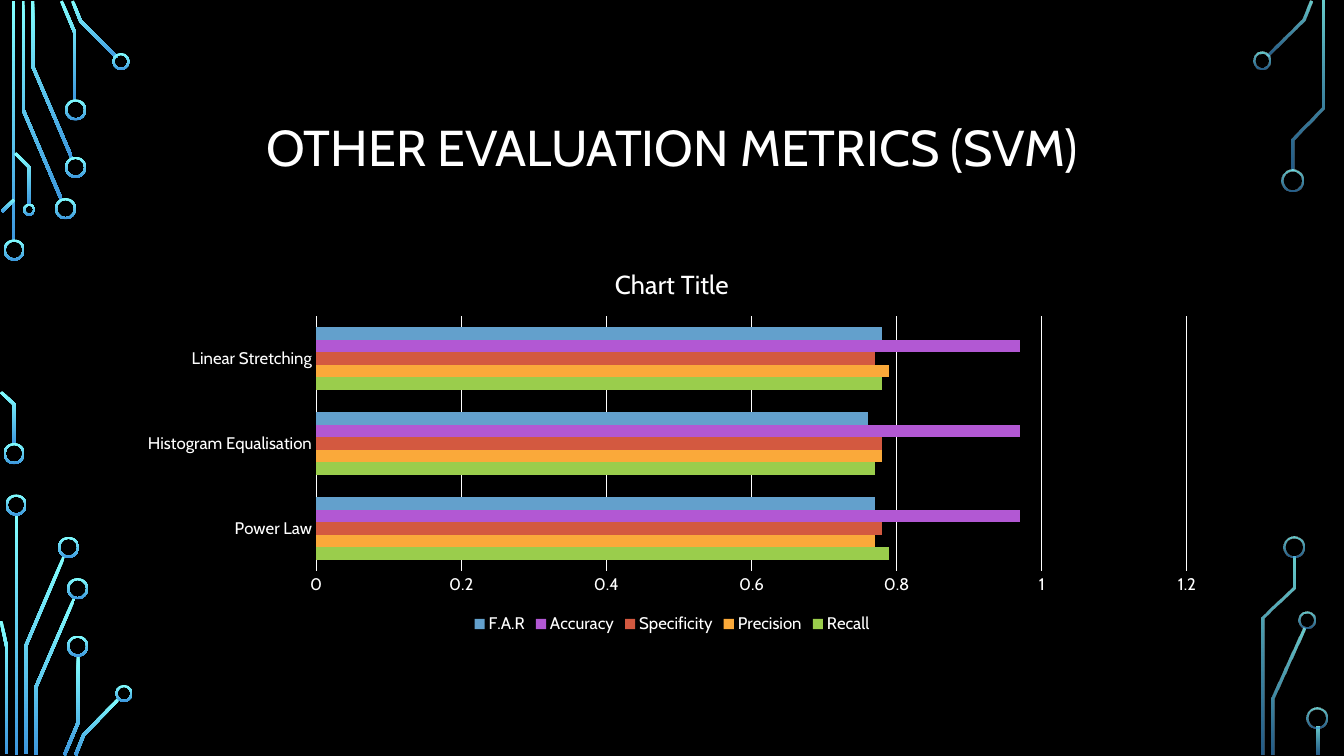
from dataclasses import dataclass
from math import hypot

from lxml.etree import SubElement
from pptx import Presentation
from pptx.chart.data import CategoryChartData
from pptx.dml.color import RGBColor as Rgb
from pptx.enum.chart import XL_CHART_TYPE as ChartType, XL_LEGEND_POSITION as LegendSide
from pptx.enum.chart import XL_TICK_MARK as Tick
from pptx.enum.shapes import MSO_SHAPE as Preset
from pptx.enum.text import MSO_ANCHOR as Anchor, PP_ALIGN as Align
from pptx.oxml.ns import qn
from pptx.util import Inches, Pt

CELL = Inches(0.01)
COLUMNS, ROWS = 1333, 750


@dataclass(frozen=True)
class Theme:
    font: str = "Cabin"
    ground: str = "000000"
    ink: str = "FFFFFF"
    glow: tuple = ("82FFFF", "3D97DE")
    title: float = 36
    chart_title: float = 18.6
    label: float = 12
    rule: float = 0.75
    trace: float = 3
    ring: float = 2


THEME = Theme()

LEFT_TRACES = [
    [(13.5, 1), (13.5, 240)],
    [(23, 1), (23, 109), (61, 198)],
    [(32.5, 1), (32.5, 66), (71, 156)],
    [(61, 1), (74.5, 33), (74.5, 100)],
    [(72, 1), (80, 21), (116, 57)],
    [(2, 210), (14, 198)],
    [(1, 389), (14, 401), (14, 441)],
    [(15, 152), (29, 166), (29, 203)],
    [(16.5, 510), (16.5, 749)],
    [(25.5, 748), (25.5, 641), (63.5, 552)],
    [(6.5, 748), (6.5, 641), (1, 616)],
    [(35.5, 749), (35.5, 682), (73.5, 594)],
    [(64, 749), (77.5, 717), (77.5, 650)],
    [(75, 749), (83, 729), (118, 693)],
]
LEFT_RINGS = [
    (14, 248, 21), (14, 450, 21), (65, 207, 21), (75, 166, 21), (75, 109, 21),
    (120, 61, 17), (29, 208, 12), (16, 501, 21), (68, 543, 21), (77, 584, 21),
    (77, 641, 21), (123, 688, 17),
]
RIGHT_TRACES = [
    [(14, 55), (49.5, 19.5), (57, 1)],
    [(19.5, 749), (19.5, 693), (50, 623)],
    [(39, 169), (39, 138), (69.5, 107), (69.5, 1)],
    [(9.5, 749), (9.5, 613), (40.5, 583), (40.5, 552)],
    [(64, 721), (64, 749)],
]
RIGHT_RINGS = [(9, 60, 17), (39, 179, 21), (53, 615, 17), (40, 543, 21), (63, 712, 21)]

CATEGORIES = ["Power Law", "Histogram Equalisation", "Linear Stretching"]
SERIES = [
    ("Recall", (0.79, 0.77, 0.78), "9ACD4C"),
    ("Precision", (0.77, 0.78, 0.79), "FAA93A"),
    ("Specificity", (0.78, 0.78, 0.77), "D35940"),
    ("Accuracy", (0.97, 0.97, 0.97), "B258D3"),
    ("F.A.R", (0.77, 0.76, 0.78), "63A0CC"),
]


def cells(*counts):
    return [round(count * CELL) for count in counts]


def assign(target, values):
    for name, value in values.items():
        setattr(target, name, value)


def style_font(font, size):
    assign(font, {"name": THEME.font, "size": Pt(size), "bold": False})
    font.color.rgb = Rgb.from_string(THEME.ink)


def style_line(line):
    line.width = Pt(THEME.rule)
    line.fill.solid()
    line.fill.fore_color.rgb = Rgb.from_string(THEME.ink)


def paint_glow(shape, opacities):
    shape.shadow.inherit = False
    shape.line.fill.background()
    shape.fill.gradient()
    shape.fill.gradient_angle = 270
    for stop, color, place in zip(shape.fill.gradient_stops, THEME.glow, (0, 1)):
        stop.color.rgb = Rgb.from_string(color)
        stop.position = place
    for color, opacity in zip(shape._element.iter(qn("a:srgbClr")), opacities):
        if opacity < 100:
            SubElement(color, qn("a:alpha"), val=str(opacity * 1000))


def ribbon(points, width):
    normals = []
    for (x1, y1), (x2, y2) in zip(points, points[1:]):
        length = hypot(x2 - x1, y2 - y1)
        normals.append(((y1 - y2) / length, (x2 - x1) / length))
    near, far = [], []
    for (x, y), (ax, ay), (bx, by) in zip(points, normals[:1] + normals, normals + normals[-1:]):
        reach = width / 2 / (1 + ax * bx + ay * by)
        dx, dy = (ax + bx) * reach, (ay + by) * reach
        near.append((x + dx, y + dy))
        far.append((x - dx, y - dy))
    return near + far[::-1]


def add_circuit(page, box, traces, rings, opacities):
    left, top = box[:2]
    group = page.shapes.add_group_shape()
    for trace in traces:
        outline = [cells(left + x, top + y) for x, y in ribbon(trace, THEME.trace)]
        builder = group.shapes.build_freeform(*outline[0])
        builder.add_line_segments(outline[1:])
        paint_glow(builder.convert_to_shape(), opacities)
    for x, y, size in rings:
        frame = cells(left + x - size / 2, top + y - size / 2, size, size)
        ring = group.shapes.add_shape(Preset.DONUT, *frame)
        ring.adjustments[0] = THEME.ring / size
        paint_glow(ring, opacities)


def add_title(page, box, text):
    title = page.shapes.title
    assign(title, dict(zip(("left", "top", "width", "height"), cells(*box))))
    frame = title.text_frame
    assign(frame, {"vertical_anchor": Anchor.MIDDLE, "word_wrap": True})
    para = frame.paragraphs[0]
    assign(para, {"text": text, "alignment": Align.CENTER, "line_spacing": 0.9})
    style_font(para.runs[0].font, THEME.title)


def add_metrics_chart(page, box):
    data = CategoryChartData()
    data.categories = CATEGORIES
    for name, values, _ in SERIES:
        data.add_series(name, values)
    chart = page.shapes.add_chart(ChartType.BAR_CLUSTERED, *cells(*box), data).chart
    style_font(chart.font, THEME.label)

    heading = chart.chart_title
    heading.include_in_layout = False
    heading.text_frame.text = "Chart Title"
    style_font(heading.text_frame.paragraphs[0].runs[0].font, THEME.chart_title)

    plot = chart.plots[0]
    assign(plot, {"gap_width": 182, "overlap": 0, "vary_by_categories": False})
    for series, (_, _, color) in zip(plot.series, SERIES):
        series.format.fill.solid()
        series.format.fill.fore_color.rgb = Rgb.from_string(color)

    for axis in (chart.category_axis, chart.value_axis):
        assign(axis, {"major_tick_mark": Tick.NONE, "minor_tick_mark": Tick.NONE})
        style_font(axis.tick_labels.font, THEME.label)
    style_line(chart.category_axis.format.line)
    scale = chart.value_axis
    assign(scale, {"minimum_scale": 0, "maximum_scale": 1.2, "major_unit": 0.2})
    assign(scale.tick_labels, {"number_format": "General", "number_format_is_linked": False})
    scale.format.line.fill.background()
    style_line(scale.major_gridlines.format.line)

    chart.has_legend = True
    assign(chart.legend, {"position": LegendSide.BOTTOM, "include_in_layout": False})
    style_font(chart.legend.font, THEME.label)


def build_metrics_page(deck):
    page = deck.slides.add_slide(deck.slide_layouts[5])
    page.background.fill.solid()
    page.background.fill.fore_color.rgb = Rgb.from_string(THEME.ground)
    add_circuit(page, (0, 0, 133, ROWS), LEFT_TRACES, LEFT_RINGS, (100, 100))
    add_circuit(page, (COLUMNS - 90, 0, 90, ROWS), RIGHT_TRACES, RIGHT_RINGS, (80, 60))
    add_title(page, (125, 68, 1083, 162), "OTHER EVALUATION METRICS (SVM)")
    add_metrics_chart(page, (125, 246, 1083, 387))


def main():
    deck = Presentation()
    deck.slide_width, deck.slide_height = cells(COLUMNS, ROWS)
    build_metrics_page(deck)
    deck.save("out.pptx")


if __name__ == "__main__":
    main()
